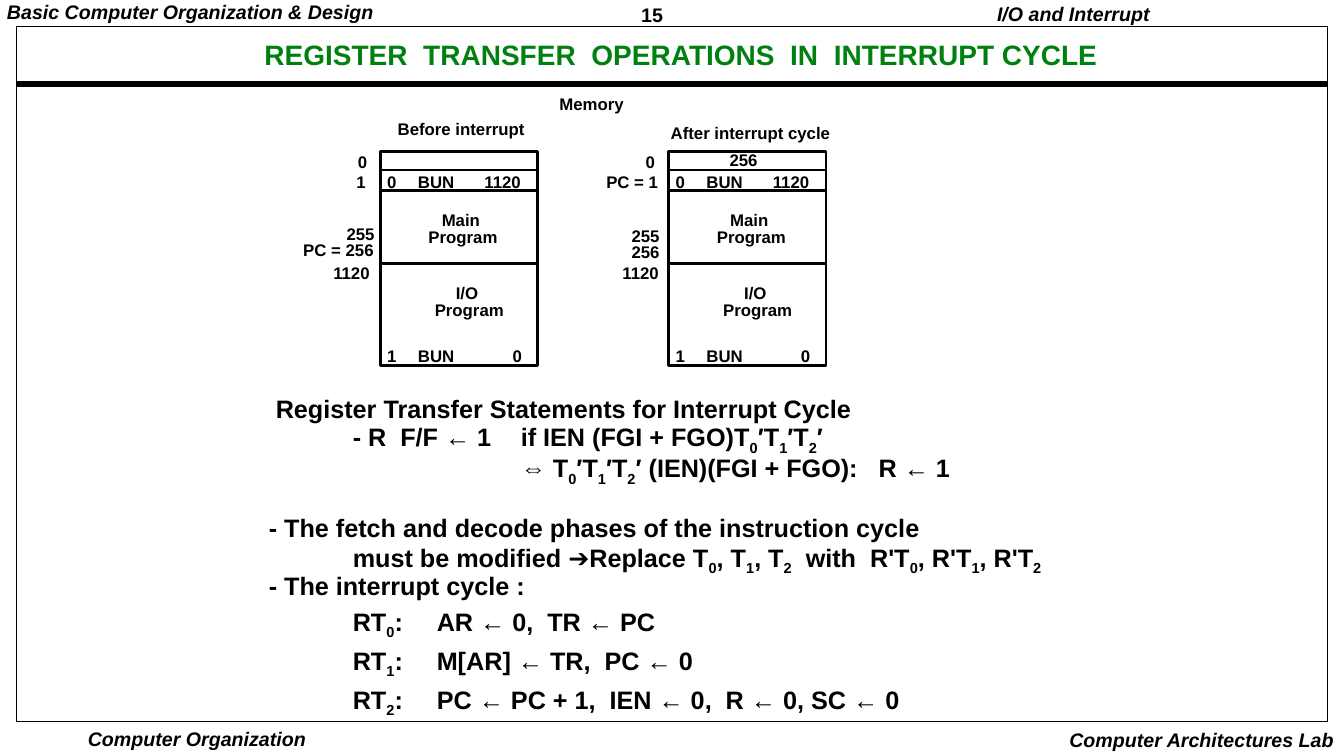
from lxml import etree
from pptx import Presentation
from pptx.dml.color import RGBColor
from pptx.enum import shapes, text
from pptx.oxml.ns import qn
from pptx.util import Pt

COLORS = {"ink": "000000", "title": "008011", "paper": "FFFFFF"}
FONT = "Arial"
LEFT, CENTER, RIGHT = text.PP_ALIGN.LEFT, text.PP_ALIGN.CENTER, text.PP_ALIGN.RIGHT

TITLE = "REGISTER  TRANSFER  OPERATIONS  IN  INTERRUPT CYCLE"

# text, left, top, width, height, alignment, italic, side margin, top margin
PAGE_LABELS = [
    ("Basic Computer Organization & Design", 0, 0, 273.5, 19.5, LEFT, True, 5, 2),
    ("15", 453, 2, 27.5, 21, LEFT, False, 5, 2),
    ("I/O and Interrupt", 704.5, 0, 124, 22, RIGHT, True, 7.2, 3.6),
    ("Computer Organization", 60.5, 520, 160.5, 18.5, CENTER, True, 2, 1),
    ("Computer Architectures Lab", 755.5, 518, 204.5, 22, RIGHT, True, 7.2, 3.6),
]

# text, left, top, width
HEADINGS = [
    ("Memory", 392.5, 65, 60.5),
    ("Before interrupt", 277, 83, 106),
    ("After interrupt cycle", 472, 85.5, 129),
]

# text, offset from the memory block's left edge, top, width
SHARED_LABELS = [
    ("0", -2, 121, 21), ("BUN", 20, 121, 40), ("1120", 67.5, 121, 41),
    ("Main", 37, 148, 42), ("Program", 27.5, 160, 64),
    ("I/O", 47, 200, 31), ("Program", 32, 212, 64),
    ("1", -2, 245, 21), ("BUN", 20, 245, 40), ("0", 87.5, 245, 21),
]

MEMORY_BLOCKS = [
    {"left": 271.5, "labels": [
        ("0", -23, 106.5, 21), ("1", -24, 121, 21), ("255", -31, 158, 35),
        ("PC = 256", -62, 169, 65), ("1120", -40.5, 186, 41)]},
    {"left": 477.5, "labels": [
        ("0", -23.5, 106.5, 21), ("PC = 1", -51.5, 121, 52), ("255", -33.5, 159.5, 35),
        ("256", -33.5, 171, 35), ("1120", -40, 186, 41), ("256", 36.5, 105, 35)]},
]
BLOCK_TOP, BLOCK_WIDTH, BLOCK_HEIGHT = 108, 112.5, 153
DIVIDERS = [121.5, 136, 188]

# text (an underscore makes the next character a subscript),
# line spacing, space before, left indent
TAB_STEP = 60
STATEMENTS = [
    ("Register Transfer Statements for Interrupt Cycle", 0.85, 0, 5),
    ("\t- R  F/F ← 1\tif IEN (FGI + FGO)T_0′T_1′T_2′", 0.85, 0, 0),
    ("⇔ T_0′T_1′T_2′ (IEN)(FGI + FGO):   R ← 1", 0.96, 0, 3 * TAB_STEP),
    ("- The fetch and decode phases of the instruction cycle", 0.9, 21.5, 0),
    ("\tmust be modified ➔Replace T_0, T_1, T_2  with  R'T_0, R'T_1, R'T_2", 0.9, 0, 0),
    ("- The interrupt cycle :", 0.9, 0, 0),
    ("\tRT_0:\tAR ← 0,  TR ← PC", 1.0, 3.5, 0),
    ("\tRT_1:\tM[AR] ← TR,  PC ← 0", 1.0, 3.5, 0),
    ("\tRT_2:\tPC ← PC + 1,  IEN ← 0,  R ← 0, SC ← 0", 1.0, 3.5, 0),
]


def color(name):
    return RGBColor.from_string(COLORS[name])


def place(shape, left, top, width, height):
    shape.left, shape.top, shape.width, shape.height = map(Pt, (left, top, width, height))


def set_frame(frame, side, top, wrap):
    frame.margin_left = frame.margin_right = Pt(side)
    frame.margin_top = frame.margin_bottom = Pt(top)
    frame.auto_size = text.MSO_AUTO_SIZE.NONE
    frame.word_wrap = wrap


def format_runs(paragraph, size, ink="ink", italic=False):
    for run in paragraph.runs:
        run.font.name, run.font.size = FONT, Pt(size)
        run.font.bold, run.font.italic = True, italic
        run.font.color.rgb = color(ink)


def add_label(slide, words, left, top, width, height=20, align=LEFT,
              italic=False, side=7.2, margin=3.6, size=12):
    box = slide.shapes.add_textbox(Pt(left), Pt(top), Pt(width), Pt(height))
    set_frame(box.text_frame, side, margin, False)
    box.text_frame.text = words
    paragraph = box.text_frame.paragraphs[0]
    paragraph.alignment, paragraph.line_spacing = align, 0.9
    format_runs(paragraph, size, italic=italic)


def add_rectangle(slide, left, top, width, height, line_width):
    shape = slide.shapes.add_shape(shapes.MSO_SHAPE.RECTANGLE,
                                   Pt(left), Pt(top), Pt(width), Pt(height))
    shape.shadow.inherit = False
    shape.fill.solid()
    shape.fill.fore_color.rgb = color("paper")
    shape.line.color.rgb = color("ink")
    shape.line.width = Pt(line_width)
    return shape


def add_rule(slide, left, right, y, line_width):
    """Draw a horizontal line."""
    line = slide.shapes.add_connector(shapes.MSO_CONNECTOR.STRAIGHT,
                                      Pt(left), Pt(y), Pt(right), Pt(y))
    line.line.color.rgb = color("ink")
    line.line.width = Pt(line_width)
    etree.SubElement(line._element.spPr, qn("a:effectLst"))


def add_statement(paragraph, words, spacing, before, indent):
    properties = paragraph._p.get_or_add_pPr()
    properties.set("marL", str(Pt(indent)))
    properties.set("indent", "0")
    properties.set("defTabSz", str(Pt(TAB_STEP)))
    etree.SubElement(properties, qn("a:buNone"))
    paragraph.alignment = LEFT
    paragraph.line_spacing = spacing
    paragraph.space_before = Pt(before)
    first, *rest = words.split("_")
    paragraph.add_run().text = first
    for part in rest:
        subscript = paragraph.add_run()
        subscript.text = part[0]
        subscript._r.get_or_add_rPr().set("baseline", "-25000")
        if part[1:]:
            paragraph.add_run().text = part[1:]
    format_runs(paragraph, 18)


def main():
    presentation = Presentation()
    presentation.slide_width, presentation.slide_height = Pt(960), Pt(540)
    slide = presentation.slides.add_slide(presentation.slide_layouts[1])
    title, body = slide.placeholders

    page_frame = add_rectangle(slide, 12, 19, 936, 496, 0.5)
    title._element.addprevious(page_frame._element)
    add_rule(slide, 12, 948, 60, 4.5)
    for words, left, top, width, height, align, italic, side, margin in PAGE_LABELS:
        add_label(slide, words, left, top, width, height, align, italic, side, margin, 14)

    place(title, 157, 27.5, 659, 26)
    set_frame(title.text_frame, 5, 2, True)
    title.text_frame.vertical_anchor = text.MSO_ANCHOR.MIDDLE
    title.text_frame.text = TITLE
    heading = title.text_frame.paragraphs[0]
    heading.alignment, heading.line_spacing = CENTER, 0.9
    format_runs(heading, 20, "title")

    place(body, 187, 282, 571, 219)
    set_frame(body.text_frame, 5, 2, True)
    for index, statement in enumerate(STATEMENTS):
        paragraph = (body.text_frame.add_paragraph() if index
                     else body.text_frame.paragraphs[0])
        add_statement(paragraph, *statement)

    for label in HEADINGS:
        add_label(slide, *label)
    for block in MEMORY_BLOCKS:
        left = block["left"]
        add_rectangle(slide, left, BLOCK_TOP, BLOCK_WIDTH, BLOCK_HEIGHT, 2)
        for y in DIVIDERS:
            add_rule(slide, left, left + BLOCK_WIDTH, y, 2)
        for words, offset, top, width in SHARED_LABELS + block["labels"]:
            add_label(slide, words, left + offset, top, width)

    presentation.save("out.pptx")


if __name__ == "__main__":
    main()
